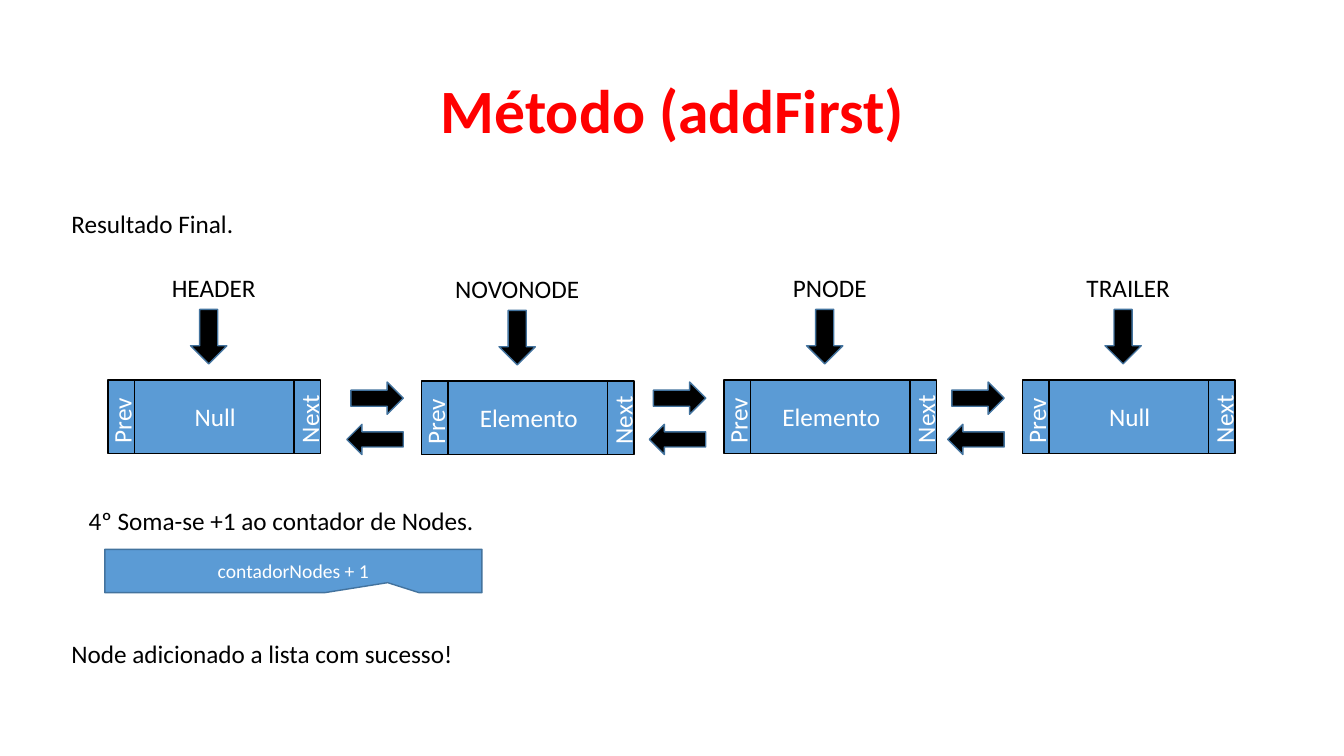
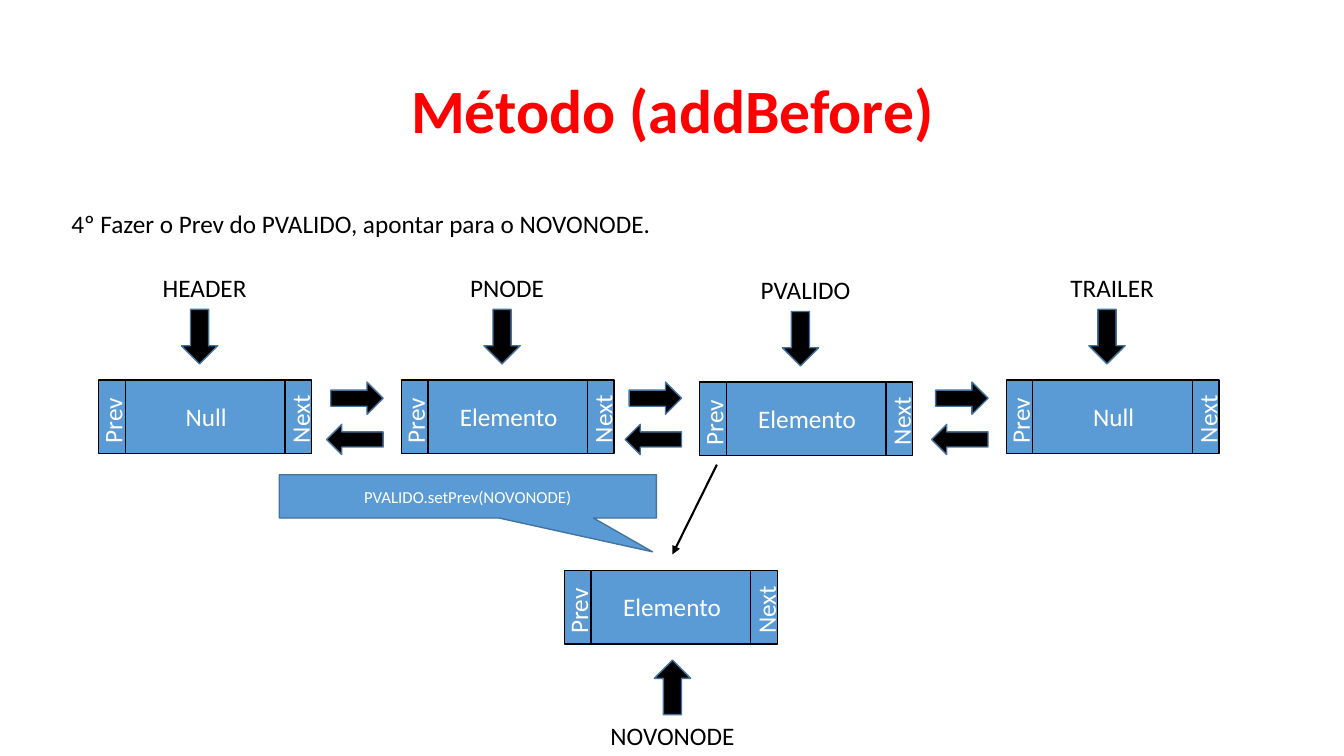
from lxml import etree
from pptx import Presentation
from pptx.dml.color import RGBColor
from pptx.enum.shapes import MSO_CONNECTOR, MSO_SHAPE as SHAPE
from pptx.enum.text import MSO_ANCHOR as ANCHOR, PP_ALIGN as ALIGN
from pptx.oxml.ns import qn
from pptx.util import Inches, Pt

FONT = "Calibri"
RED = RGBColor(0xFF, 0x00, 0x00)
BLACK = RGBColor(0x00, 0x00, 0x00)
WHITE = RGBColor(0xFF, 0xFF, 0xFF)
BLUE = RGBColor(0x5B, 0x9B, 0xD5)
DARK_BLUE = RGBColor(0x43, 0x73, 0x9E)

presentation = Presentation()
presentation.slide_width = Inches(13.33)
presentation.slide_height = Inches(7.5)
title_only = presentation.slide_layouts[5]

# Square grid with 75 rows; every length below is counted in cells
CELL = presentation.slide_height / 75
NODE_WIDTH, NODE_HEIGHT = 21.1, 7.3
TEXT_HEIGHT = 4
LINK_GAP = 7
LINK_TOP = 37.9

# Node: label, value, left, top, pointer centre and label centre from its left, label side
SLIDES = [
    {
        "title": "Método (addFirst)",
        "nodes": [
            ("HEADER", "Null", 10.7, 37.7, 10, 10.5, "above"),
            ("NOVONODE", "Elemento", 41.8, 37.8, 9.5, 9.5, "above"),
            ("PNODE", "Elemento", 71.8, 37.7, 10, 10.5, "above"),
            ("TRAILER", "Null", 101.4, 37.7, 10, 10.5, "above"),
        ],
        "notes": [
            ("Resultado Final.", 6.1, 20.2),
            ("4º Soma-se +1 ao contador de Nodes.", 7.8, 49.6),
            ("Node adicionado a lista com sucesso!", 6.1, 62.8),
        ],
        "callout": ("contadorNodes + 1", 14, 10.4, 54.5, (0.25, 0.27)),
        "arrows": [],
    },
    {
        "title": "Método (addBefore)",
        "nodes": [
            ("HEADER", "Null", 9.8, 37.7, 10, 10.5, "above"),
            ("PNODE", "Elemento", 39.8, 37.7, 10, 10.5, "above"),
            ("PVALIDO", "Elemento", 69.4, 37.9, 10, 10.5, "above"),
            ("TRAILER", "Null", 99.8, 37.7, 10, 10.5, "above"),
            ("NOVONODE", "Elemento", 56, 56.6, 10.7, 10.7, "below"),
        ],
        "notes": [
            ("4º Fazer o Prev do PVALIDO, apontar para o NOVONODE.", 6.1, 20.2),
        ],
        "callout": ("PVALIDO.setPrev(NOVONODE)", 12, 27.7, 47.1, (0.49, 1.28)),
        "arrows": [(71.1, 46.1, 66.7, 55)],
    },
]


def write(shape, text, size, color, align=ALIGN.CENTER, bold=False):
    shape.text_frame.word_wrap = True
    paragraph = shape.text_frame.paragraphs[0]
    paragraph.alignment = align
    run = paragraph.add_run()
    run.text = text
    run.font.name = FONT
    run.font.size = Pt(size)
    run.font.bold = bold
    run.font.color.rgb = color
    return paragraph


def add_block(shapes, kind, left, top, width, height, fill, line=DARK_BLUE):
    box = [round(length * CELL) for length in (left, top, width, height)]
    shape = shapes.add_shape(kind, *box)
    shape.shadow.inherit = False
    shape.fill.solid()
    shape.fill.fore_color.rgb = fill
    shape.line.color.rgb = line
    shape.line.width = Pt(1)
    return shape


for content in SLIDES:
    slide = presentation.slides.add_slide(title_only)

    # Title
    title = slide.shapes.title
    title.left, title.top, title.width, title.height = (
        round(length * CELL) for length in (9.2, 4, 115, 14.5))
    title.text_frame.vertical_anchor = ANCHOR.MIDDLE
    write(title, content["title"], 44, RED, bold=True).line_spacing = 0.9

    # Nodes with their pointers
    for label, value, left, top, pointer, label_centre, side in content["nodes"]:
        shapes = slide.shapes.add_group_shape().shapes
        add_block(shapes, SHAPE.FLOWCHART_PREDEFINED_PROCESS,
                  left, top, NODE_WIDTH, NODE_HEIGHT, BLUE, BLACK)
        if side == "above":
            kind, pointer_top, label_top = SHAPE.DOWN_ARROW, top - 7, top - 11.2
        else:
            kind, pointer_top, label_top = SHAPE.UP_ARROW, top + 8.9, top + 14.4
        add_block(shapes, kind, left + pointer - 1.8, pointer_top, 3.6, 5.4, BLACK)

        # Text, centre from the node's left, top, width, colour, alignment, rotation
        for text, centre, text_top, width, color, align, rotation in (
                (label, label_centre, label_top, 15.3, BLACK, ALIGN.CENTER, 0),
                ("Prev", 1.35, top + 1.8, 6.9, WHITE, ALIGN.LEFT, 270),
                (value, 10.65, top + 1.6, 15.4, WHITE, ALIGN.CENTER, 0),
                ("Next", 19.95, top + 1.8, 6.9, WHITE, ALIGN.LEFT, 270)):
            text_box = shapes.add_textbox(
                round((left + centre - width / 2) * CELL), round(text_top * CELL),
                round(width * CELL), round(TEXT_HEIGHT * CELL))
            text_box.rotation = rotation
            write(text_box, text, 18, color, align)

    # Links in front of the second, third and fourth node of the row
    for node in content["nodes"][1:4]:
        link_left = node[2] - LINK_GAP
        add_block(slide.shapes, SHAPE.RIGHT_ARROW, link_left, LINK_TOP, 5.2, 3.2, BLACK)
        add_block(slide.shapes, SHAPE.LEFT_ARROW,
                  link_left - 0.4, LINK_TOP + 4.2, 5.6, 3, BLACK)

    # Thin arrows
    for ends in content["arrows"]:
        arrow = slide.shapes.add_connector(
            MSO_CONNECTOR.STRAIGHT, *(round(length * CELL) for length in ends))
        arrow.line.color.rgb = BLACK
        arrow.line.width = Pt(1.5)
        etree.SubElement(arrow.line._get_or_add_ln(), qn("a:tailEnd"), type="triangle")
        etree.SubElement(arrow._element.spPr, qn("a:effectLst"))

    # Callout with the code
    code, size, left, top, tip = content["callout"]
    callout = add_block(slide.shapes, SHAPE.RECTANGULAR_CALLOUT, left, top, 37.4, 4.3, BLUE)
    callout.adjustments[0], callout.adjustments[1] = tip
    callout.text_frame.vertical_anchor = ANCHOR.MIDDLE
    write(callout, code, size, WHITE)

    # Explanations
    for text, left, top in content["notes"]:
        note = slide.shapes.add_textbox(
            round(left * CELL), round(top * CELL),
            round(97.6 * CELL), round(TEXT_HEIGHT * CELL))
        write(note, text, 18, BLACK, ALIGN.LEFT)

presentation.save("out.pptx")
